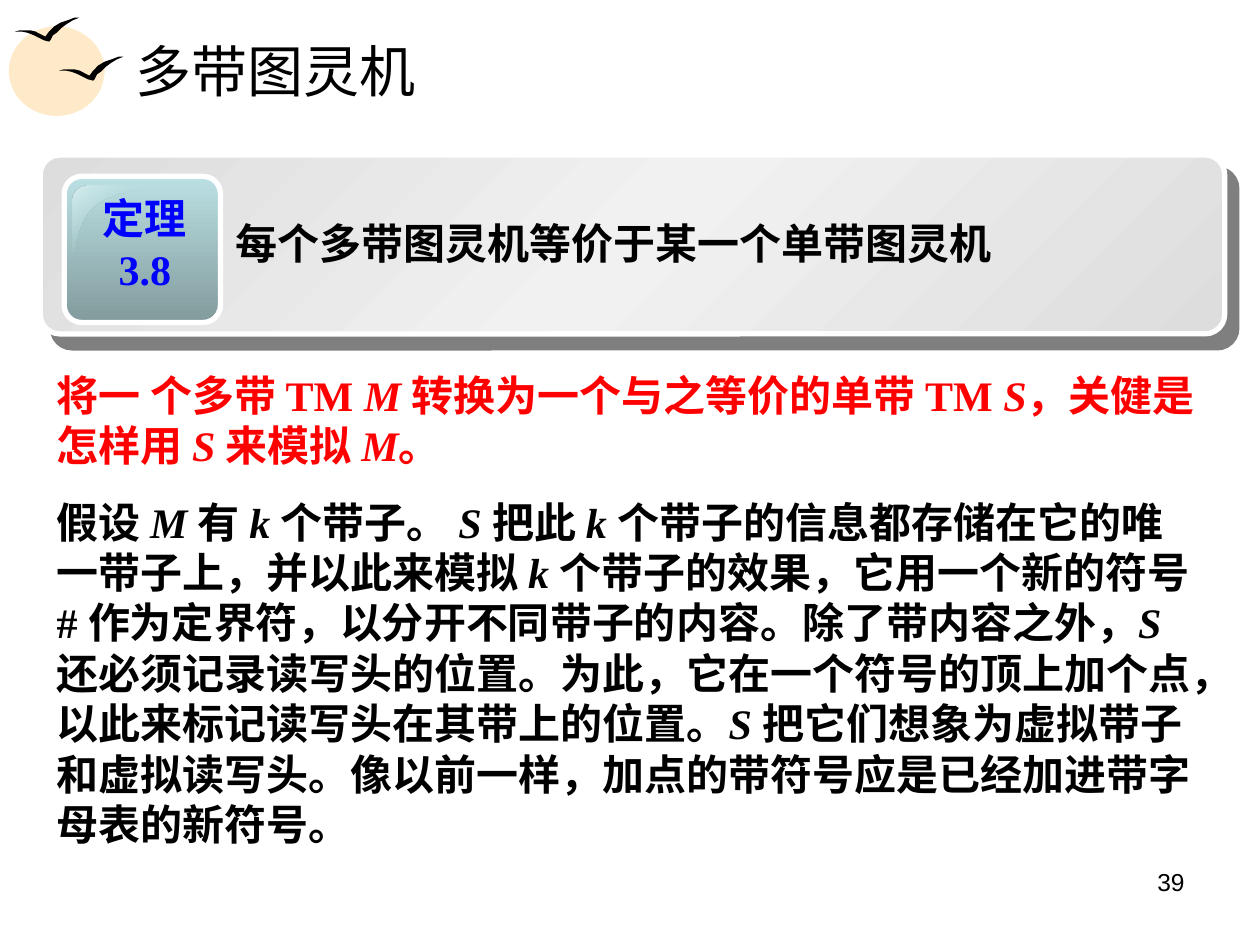
from lxml import etree
from pptx import Presentation
from pptx.dml.color import RGBColor
from pptx.enum.shapes import MSO_SHAPE as Shape
from pptx.enum.text import MSO_ANCHOR as Anchor, PP_ALIGN as Align
from pptx.oxml.ns import qn
from pptx.util import Inches, Pt

BLACK = RGBColor(0x00, 0x00, 0x00)
WHITE = RGBColor(0xFF, 0xFF, 0xFF)
RED = RGBColor(0xFF, 0x00, 0x00)
BLUE = RGBColor(0x00, 0x00, 0xFF)
SUN = RGBColor(0xFE, 0xE9, 0xC8)
SILVER = RGBColor(0xDD, 0xDD, 0xDD)
PALE_SILVER = RGBColor(0xF1, 0xF1, 0xF1)
TEAL = RGBColor(0xBB, 0xE0, 0xE3)
DARK_TEAL = RGBColor(0x82, 0x9B, 0x9D)
PALE_TEAL = RGBColor(0xD9, 0xED, 0xEE)

SERIF = "Times New Roman"
SANS = "Arial"

# Outline of the upper bird: top edge to the right, then back underneath
BIRD = [
    (0.12, 0.25), (0.16, 0.24), (0.2, 0.24), (0.24, 0.24), (0.28, 0.25),
    (0.32, 0.27), (0.36, 0.29), (0.39, 0.25), (0.43, 0.21), (0.48, 0.18),
    (0.54, 0.16), (0.59, 0.14), (0.63, 0.14), (0.58, 0.16), (0.53, 0.19),
    (0.49, 0.22), (0.45, 0.26), (0.42, 0.28), (0.4, 0.32), (0.39, 0.33),
    (0.35, 0.32), (0.31, 0.3), (0.27, 0.28), (0.22, 0.26), (0.17, 0.25),
]

# Text between asterisks is italic
PROOF_IDEA = [
    ("将一 个多带 TM *M *转换为一个与之等价的单带 TM *S*，关健是怎样用 *S *来模拟 *M*。", RED),
    ("假设 *M *有 *k *个带子。 *S *把此 *k *个带子的信息都存储在它的唯一带子上，"
     "并以此来模拟 *k *个带子的效果，它用一个新的符号 # 作为定界符，以分开不同带子的内容。"
     "除了带内容之外，*S *还必须记录读写头的位置。为此，它在一个符号的顶上加个点，"
     "以此来标记读写头在其带上的位置。*S *把它们想象为虚拟带子和虚拟读写头。"
     "像以前一样，加点的带符号应是已经加进带字母表的新符号。", BLACK),
]


def fill_solid(shape, color):
    shape.shadow.inherit = False
    shape.fill.solid()
    shape.fill.fore_color.rgb = color
    shape.line.fill.background()


def fill_gradient(shape, stops, clockwise_angle):
    """Stops are (percent, colour, opacity percent)."""
    shape.shadow.inherit = False
    shape.fill.gradient()
    shape.fill.gradient_angle = 360 - clockwise_angle
    stop_list = shape._element.spPr.find(".//" + qn("a:gsLst"))
    for old_stop in list(stop_list):
        stop_list.remove(old_stop)
    for position, color, opacity in stops:
        stop = etree.SubElement(stop_list, qn("a:gs"), pos=str(position * 1000))
        add_color(stop, color, opacity)


def add_color(parent, color, opacity):
    element = etree.SubElement(parent, qn("a:srgbClr"), val=str(color))
    if opacity < 100:
        etree.SubElement(element, qn("a:alpha"), val=str(opacity * 1000))


def add_drop_shadow(shape, color, opacity, distance, angle):
    effects = shape._element.spPr.find(qn("a:effectLst"))
    shadow = etree.SubElement(
        effects, qn("a:outerShdw"), dist=str(Pt(distance)),
        dir=str(angle * 60000), algn="ctr", rotWithShape="0")
    add_color(shadow, color, opacity)


def add_ellipse(slide, left, top, width, height):
    shape = slide.shapes.add_shape(
        Shape.OVAL, Inches(left), Inches(top), Inches(width), Inches(height))
    fill_solid(shape, SUN)


def add_panel(slide, left, top, width, height, corner, stops, angle):
    shape = slide.shapes.add_shape(
        Shape.ROUNDED_RECTANGLE,
        Inches(left), Inches(top), Inches(width), Inches(height))
    shape.adjustments[0] = corner
    fill_gradient(shape, stops, angle)
    shape.line.color.rgb = WHITE
    shape.line.width = Pt(3)
    return shape


def add_outline(slide, points):
    points = [(Inches(x), Inches(y)) for x, y in points]
    builder = slide.shapes.build_freeform(*points[0])
    builder.add_line_segments(points[1:], close=True)
    return builder.convert_to_shape()


def add_bird(slide, right, down):
    bird = add_outline(slide, [(x + right, y + down) for x, y in BIRD])
    fill_solid(bird, BLACK)


def curve_points(start, control_1, control_2, end, steps=12):
    """Points after the start along a cubic curve."""
    points = []
    for step in range(1, steps + 1):
        t = step / steps
        weights = ((1 - t) ** 3, 3 * t * (1 - t) ** 2, 3 * t * t * (1 - t), t ** 3)
        corners = (start, control_1, control_2, end)
        points.append(tuple(
            sum(w * corner[axis] for w, corner in zip(weights, corners))
            for axis in (0, 1)))
    return points


def add_highlight(slide):
    top, left, bottom, right = (0.71, 1.47), (0.58, 1.59), (0.58, 2.05), (1.19, 1.47)
    middle = (0.75, 1.64)
    points = [top]
    points += curve_points(top, (0.64, 1.47), (0.58, 1.52), left)
    points.append(bottom)
    points += curve_points(bottom, (0.61, 2.05), (0.6, 1.77), middle)
    points += curve_points(middle, (0.9, 1.51), (1.2, 1.5), right)
    highlight = add_outline(slide, points)
    fill_gradient(
        highlight, [(0, PALE_TEAL, 100), (50, TEAL, 0), (100, PALE_TEAL, 100)], 225)
    highlight.line.fill.background()


def add_text(slide, left, top, width, height, paragraphs, size, font,
             bold=False, align=Align.LEFT, anchor=Anchor.TOP,
             line_spacing=None, space_between=0):
    """Paragraphs are (text, colour)."""
    box = slide.shapes.add_textbox(
        Inches(left), Inches(top), Inches(width), Inches(height))
    frame = box.text_frame
    frame.word_wrap = True
    frame.vertical_anchor = anchor
    for index, (text, color) in enumerate(paragraphs):
        paragraph = frame.add_paragraph() if index else frame.paragraphs[0]
        paragraph.alignment = align
        paragraph.line_spacing = line_spacing
        if index:
            paragraph.space_before = Pt(space_between)
        for part, piece in enumerate(text.split("*")):
            run = paragraph.add_run()
            run.text = piece
            run.font.name = font
            run.font.size = Pt(size)
            run.font.bold = bold
            run.font.italic = part % 2 == 1
            run.font.color.rgb = color


def main():
    presentation = Presentation()
    presentation.slide_width = Inches(10)
    presentation.slide_height = Inches(7.5)
    slide = presentation.slides.add_slide(presentation.slide_layouts[6])

    # Sun and birds
    add_ellipse(slide, 0.07, 0.21, 0.76, 0.71)
    add_ellipse(slide, 0.2, 0.28, 0.63, 0.55)
    add_bird(slide, 0.35, 0.31)
    add_bird(slide, 0, 0)

    # Title
    add_text(slide, 0.98, 0.21, 8.53, 0.69, [("多带图灵机", BLACK)], 32, SERIF,
             anchor=Anchor.MIDDLE)

    # Theorem banner
    banner = add_panel(
        slide, 0.32, 1.23, 9.4, 1.42, 0.109,
        [(0, SILVER, 100), (50, PALE_SILVER, 100), (100, SILVER, 100)], 225)
    add_drop_shadow(banner, BLACK, 50, 10.6, 49)
    add_panel(slide, 0.51, 1.4, 1.24, 1.16, 0.119,
              [(0, TEAL, 100), (100, DARK_TEAL, 100)], 90)
    add_highlight(slide)
    add_text(slide, 0.68, 1.48, 0.94, 0.9, [("定理", BLUE), ("3.8", BLUE)],
             24, SERIF, bold=True, align=Align.CENTER)
    add_text(slide, 1.77, 1.62, 7.56, 0.56,
             [("每个多带图灵机等价于某一个单带图灵机", BLACK)],
             24, SANS, bold=True, line_spacing=1.15)

    # Proof idea
    add_text(slide, 0.35, 2.88, 9.29, 3.91, PROOF_IDEA, 24, SERIF,
             bold=True, space_between=15)

    # Page number
    add_text(slide, 7.17, 6.83, 2.33, 0.52, [("39", BLACK)], 14, SANS,
             align=Align.RIGHT)

    presentation.save("out.pptx")


if __name__ == "__main__":
    main()
